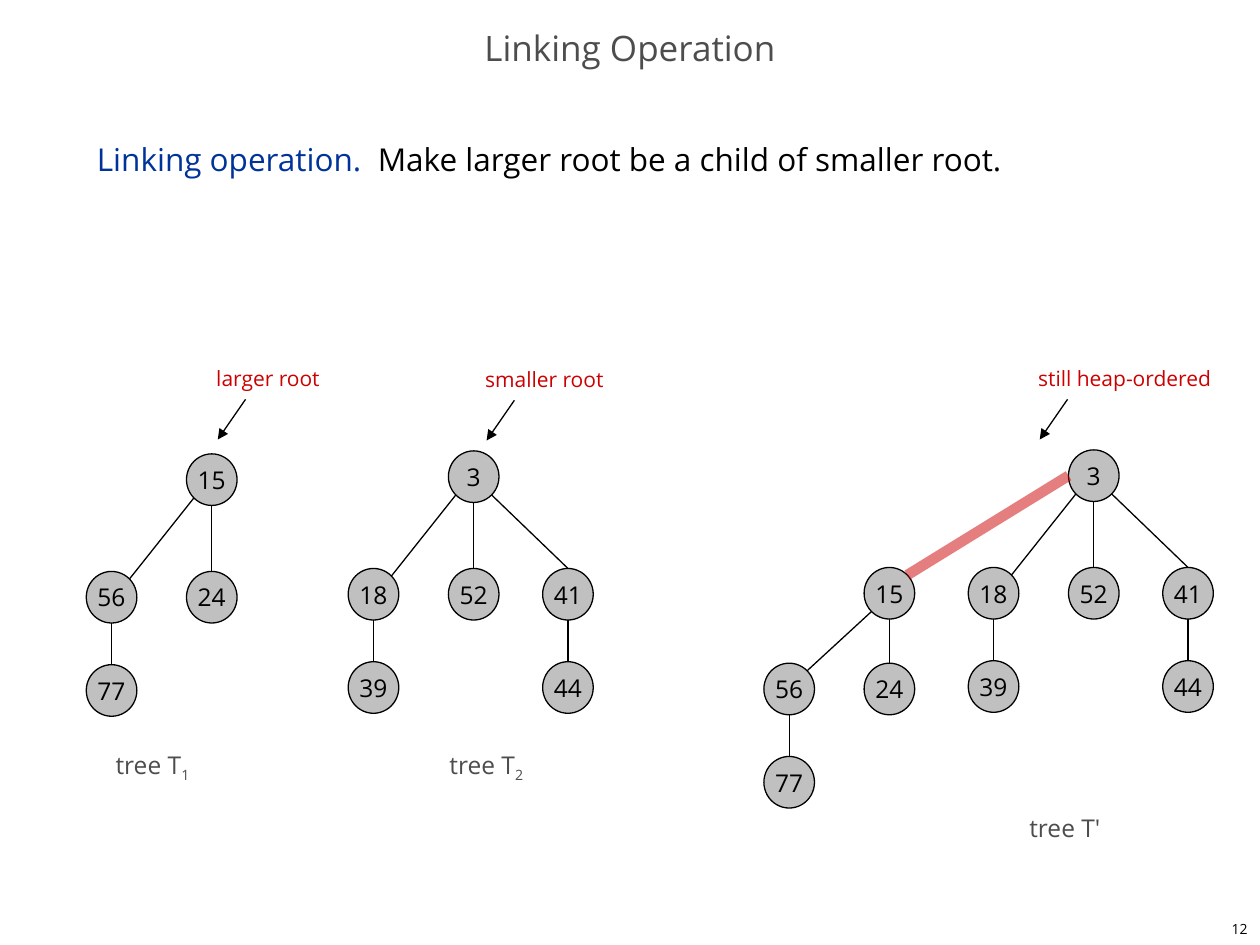
from dataclasses import dataclass
from typing import Optional

import pptx
import pptx.dml.color
import pptx.enum.shapes
import pptx.enum.text
import pptx.oxml.ns
import pptx.util
from lxml import etree

Cm, Pt = pptx.util.Cm, pptx.util.Pt
ALIGN = pptx.enum.text.PP_ALIGN
ANCHOR = pptx.enum.text.MSO_ANCHOR
qn = pptx.oxml.ns.qn

FONT = "Open Sans"
COLORS = {"ink": "000000", "grey": "4D4D4D", "node": "C0C0C0",
          "accent": "CC0000", "term": "003399"}

# Tree geometry, in cm
NODE_W, NODE_H = 1.02, 1.04
LEFT_STEP, RIGHT_STEP = 2.02, 1.9
ROOT_DROP, LEAF_DROP, LINKED_DROP = 2.37, 1.88, 1.93
DIAGONAL = 0.5 ** 0.5
SITES = {"top": (0, -1), "bottom": (0, 1), "left": (-1, 0),
         "top right": (DIAGONAL, -DIAGONAL),
         "bottom left": (-DIAGONAL, DIAGONAL),
         "bottom right": (DIAGONAL, DIAGONAL)}


@dataclass(frozen=True)
class Node:
    key: int
    x: float
    y: float

    def site(self, name: str) -> tuple[float, float]:
        dx, dy = SITES[name]
        return self.x + dx * NODE_W / 2, self.y + dy * NODE_H / 2


@dataclass(frozen=True)
class Label:
    text: str
    left: float
    top: float
    width: float
    subscript: str = ""


CALLOUTS = [Label("smaller root", 9.53, 7.26, 3.02),
            Label("larger root", 4.11, 7.24, 2.77),
            Label("still heap-ordered", 20.68, 7.24, 4.11)]
CAPTIONS = [Label("tree T", 2.08, 14.99, 2.13, "1"),
            Label("tree T", 8.81, 14.99, 2.13, "2"),
            Label("tree T'", 20.5, 16.26, 2.03)]


def rgb(name: str) -> pptx.dml.color.RGBColor:
    return pptx.dml.color.RGBColor.from_string(COLORS[name])


def set_font(target, size: float, color: str) -> None:
    font = target.font
    font.name, font.size = FONT, Pt(size)
    font.color.rgb = rgb(color)


def place(shape, left: float, top: float, width: float, height: float) -> None:
    shape.left, shape.top = Cm(left), Cm(top)
    shape.width, shape.height = Cm(width), Cm(height)


def draw_line(slide, start: tuple[float, float], end: tuple[float, float],
              color: str = "ink", width: float = 0.75,
              opacity: Optional[int] = None, arrow: bool = False) -> None:
    line = slide.shapes.add_connector(
        pptx.enum.shapes.MSO_CONNECTOR.STRAIGHT,
        *(Cm(value) for value in (*start, *end)))
    line.line.color.rgb = rgb(color)
    line.line.width = Pt(width)
    properties = line._element.spPr
    if opacity is not None:
        tint = properties.find(".//" + qn("a:srgbClr"))
        etree.SubElement(tint, qn("a:alpha"), val=str(opacity * 1000))
    if arrow:
        etree.SubElement(line.line._get_or_add_ln(), qn("a:tailEnd"), type="triangle")
    etree.SubElement(properties, qn("a:effectLst"))


def draw_node(slide, key: int, x: float, y: float) -> Node:
    oval = slide.shapes.add_shape(
        pptx.enum.shapes.MSO_SHAPE.OVAL, Cm(x - NODE_W / 2), Cm(y - NODE_H / 2),
        Cm(NODE_W), Cm(NODE_H))
    oval.shadow.inherit = False
    oval.fill.solid()
    oval.fill.fore_color.rgb = rgb("node")
    oval.line.color.rgb = rgb("ink")
    oval.line.width = Pt(0.75)
    frame = oval.text_frame
    frame.word_wrap = False
    frame.vertical_anchor = ANCHOR.MIDDLE
    paragraph = frame.paragraphs[0]
    paragraph.text = str(key)
    paragraph.alignment = ALIGN.CENTER
    set_font(paragraph, 14, "ink")
    return Node(key, x, y)


def add_child(slide, parent: Node, key: int, dx: float, dy: float) -> Node:
    """Draw a child and its edge; the side it lies on decides the edge ends."""
    child = draw_node(slide, key, parent.x + dx, parent.y + dy)
    if dx < 0:
        child_site, parent_site = "top right", "bottom left"
    elif dx > 0:
        child_site, parent_site = "top", "bottom right"
    else:
        child_site, parent_site = "top", "bottom"
    draw_line(slide, child.site(child_site), parent.site(parent_site))
    return child


def draw_larger_tree(slide, x: float, y: float, drop: float) -> Node:
    root = draw_node(slide, 15, x, y)
    left = add_child(slide, root, 56, -LEFT_STEP, drop)
    add_child(slide, root, 24, 0, drop)
    add_child(slide, left, 77, 0, LEAF_DROP)
    return root


def draw_smaller_tree(slide, x: float, y: float) -> Node:
    root = draw_node(slide, 3, x, y)
    left = add_child(slide, root, 18, -LEFT_STEP, ROOT_DROP)
    add_child(slide, root, 52, 0, ROOT_DROP)
    right = add_child(slide, root, 41, RIGHT_STEP, ROOT_DROP)
    add_child(slide, left, 39, 0, LEAF_DROP)
    add_child(slide, right, 44, 0, LEAF_DROP)
    return root


def draw_label(slide, label: Label, height: float, size: float, color: str):
    box = slide.shapes.add_textbox(Cm(label.left), Cm(label.top),
                                   Cm(label.width), Cm(height))
    box.text_frame.word_wrap = False
    paragraph = box.text_frame.paragraphs[0]
    paragraph.add_run().text = label.text
    if label.subscript:
        index = paragraph.add_run()
        index.text = label.subscript
        index._r.get_or_add_rPr().set("baseline", "-25000")
    set_font(paragraph, size, color)
    return box


def draw_callout(slide, label: Label) -> None:
    draw_label(slide, label, 0.76, 12, "accent")
    x, y = label.left + 0.84, label.top + 0.81
    draw_line(slide, (x, y), (x - 0.56, y + 0.81), arrow=True)


def write_headings(slide) -> None:
    title, body = slide.shapes.title, slide.placeholders[1]
    place(title, 0, 0.43, 25.4, 1.27)
    title.text_frame.vertical_anchor = ANCHOR.MIDDLE
    heading = title.text_frame.paragraphs[0]
    heading.text = "Linking Operation"
    heading.alignment = ALIGN.CENTER
    heading.line_spacing = 0.7
    set_font(heading, 20, "grey")

    place(body, 1.7, 2.54, 21.8, 15.04)
    rule = body.text_frame.paragraphs[0]
    rule.line_spacing = Pt(26)
    rule.space_before = Pt(0)
    for text, color in (("Linking operation.  ", "term"),
                        ("Make larger root be a child of smaller root.", "ink")):
        run = rule.add_run()
        run.text = text
        set_font(run, 18, color)
    properties = rule._p.get_or_add_pPr()
    properties.set("marL", "0")
    properties.set("indent", "0")
    etree.SubElement(properties, qn("a:buNone"))


def main() -> None:
    deck = pptx.Presentation()
    deck.slide_width, deck.slide_height = Cm(25.4), Cm(19.05)
    slide = deck.slides.add_slide(deck.slide_layouts[1])
    write_headings(slide)

    # Trees before linking
    draw_smaller_tree(slide, 9.55, 9.61)
    draw_larger_tree(slide, 4.27, 9.67, ROOT_DROP)

    # Tree after linking, with the new edge highlighted
    merged_root = draw_smaller_tree(slide, 22.05, 9.59)
    linked_root = draw_larger_tree(slide, 17.93, 9.59 + ROOT_DROP, LINKED_DROP)
    draw_line(slide, linked_root.site("top right"), merged_root.site("left"),
              "accent", 6, opacity=50)

    # Captions and callouts
    for caption in CAPTIONS:
        draw_label(slide, caption, 0.84, 14, "grey")
    for callout in CALLOUTS:
        draw_callout(slide, callout)

    # Slide number
    number = draw_label(slide, Label("12", 20.12, 18.42, 5.28), 0.63, 8, "ink")
    number.text_frame.word_wrap = True
    number.text_frame.vertical_anchor = ANCHOR.MIDDLE
    number.text_frame.paragraphs[0].alignment = ALIGN.RIGHT

    deck.save("out.pptx")


if __name__ == "__main__":
    main()
